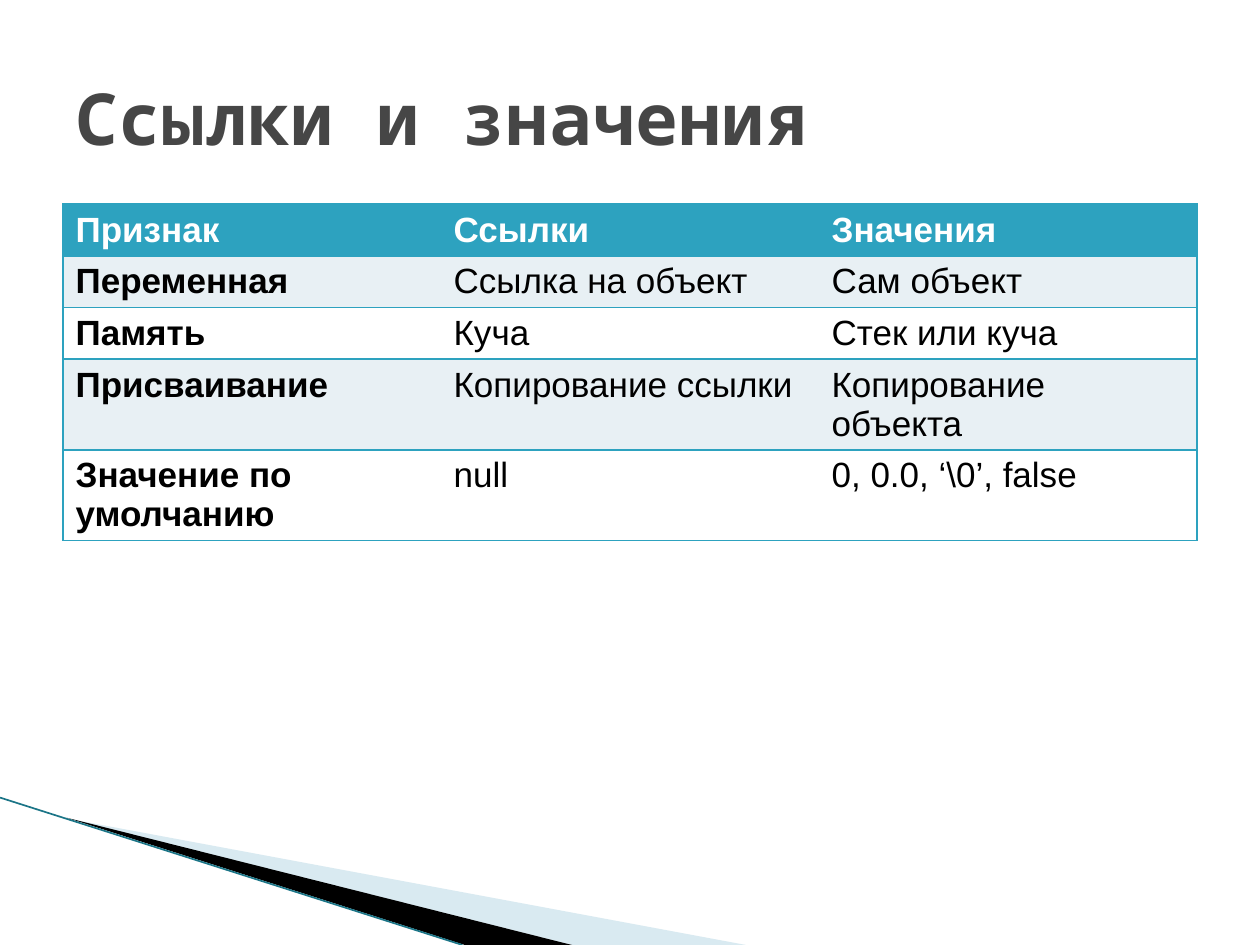
"""Build the slide that compares references and values."""
import dataclasses

import pptx
import pptx.dml.color
import pptx.enum.shapes
import pptx.enum.text
import pptx.oxml
import pptx.oxml.ns
import pptx.util

Inches = pptx.util.Inches
Pt = pptx.util.Pt


@dataclasses.dataclass(frozen=True)
class Theme:
    """Colours, fonts and type sizes."""
    teal: str = "2DA2BF"
    band: str = "E8F0F4"
    white: str = "FFFFFF"
    black: str = "000000"
    gray: str = "464646"
    pale: str = "A0CBDC"
    deep: str = "1B7587"
    head: str = "Noto Sans Mono"
    body: str = "Arial"
    big: int = 41
    text: int = 20


THEME = Theme()
ROWS = [
    ("Признак", "Ссылки", "Значения"),
    ("Переменная", "Ссылка на объект", "Сам объект"),
    ("Память", "Куча", "Cтек или куча"),
    ("Присваивание", "Копирование ссылки", "Копирование объекта"),
    ("Значение по умолчанию", "null", "0, 0.0, ‘\\0’, false"),
]
HEIGHTS = (0.41, 0.41, 0.41, 0.72, 0.72)


def rgb(code):
    """Turn a hex code into a colour."""
    return pptx.dml.color.RGBColor.from_string(code)


def style(para, name, size, color, bold):
    """Set the font of a paragraph."""
    font = para.font
    font.name, font.size, font.bold = name, Pt(size), bold
    font.color.rgb = rgb(color)


def element(tag, **attrs):
    """Make a drawing element."""
    node = pptx.oxml.parse_xml(f"<a:{tag} {pptx.oxml.ns.nsdecls('a')}/>")
    for key, value in attrs.items():
        node.set(key, str(value))
    return node


def wedge(slide, points, color, alpha=100):
    """Draw a filled polygon without an outline."""
    (x, y), *rest = [(Inches(a), Inches(b)) for a, b in points]
    build = slide.shapes.build_freeform(x, y)
    build.add_line_segments(rest, close=True)
    shape = build.convert_to_shape()
    shape.shadow.inherit = False
    shape.line.fill.background()
    shape.fill.solid()
    shape.fill.fore_color.rgb = rgb(color)
    if alpha < 100:
        node = shape.fill._xPr.find(".//" + pptx.oxml.ns.qn("a:srgbClr"))
        node.append(element("alpha", val=alpha * 1000))


def rule(slide, start, end):
    """Draw a thin straight line."""
    ends = [Inches(v) for v in (*start, *end)]
    kind = pptx.enum.shapes.MSO_CONNECTOR.STRAIGHT
    line = slide.shapes.add_connector(kind, *ends)
    line.line.color.rgb = rgb(THEME.deep)
    line.line.width = Pt(0.95)
    line._element.spPr.append(element("effectLst"))


def title(slide, text):
    """Fill and place the title."""
    box = slide.shapes.title
    box.left, box.top = Inches(0.5), Inches(0.3)
    box.width, box.height = Inches(9), Inches(1.25)
    frame = box.text_frame
    frame.text = text
    frame.vertical_anchor = pptx.enum.text.MSO_ANCHOR.MIDDLE
    para = frame.paragraphs[0]
    para.alignment = pptx.enum.text.PP_ALIGN.LEFT
    style(para, THEME.head, THEME.big, THEME.gray, True)


def border(cell, first, last):
    """Rule a cell above and below, and on the outer sides of the table."""
    props = cell._tc.get_or_add_tcPr()
    sides = {"lnL": first, "lnR": last, "lnT": True, "lnB": True}
    for spot, (tag, shown) in enumerate(sides.items()):
        line = element(tag, w=Pt(1))
        fill = element("solidFill" if shown else "noFill")
        if shown:
            fill.append(element("srgbClr", val=THEME.teal))
        line.append(fill)
        props.insert(spot, line)


def table(slide):
    """Add the comparison table."""
    count = len(ROWS[0])
    place = [Inches(v) for v in (0.5, 1.62, 9, sum(HEIGHTS))]
    grid = slide.shapes.add_table(len(ROWS), count, *place).table
    for r, (row, high) in enumerate(zip(ROWS, HEIGHTS)):
        grid.rows[r].height = Inches(high)
        shade = THEME.band if r % 2 else THEME.white
        for c, text in enumerate(row):
            cell = grid.cell(r, c)
            cell.text = text
            cell.fill.solid()
            cell.fill.fore_color.rgb = rgb(shade if r else THEME.teal)
            border(cell, c == 0, c == count - 1)
            color = THEME.black if r else THEME.white
            para = cell.text_frame.paragraphs[0]
            style(para, THEME.body, THEME.text, color, r == 0 or c == 0)


def main():
    """Build and save the slide."""
    deck = pptx.Presentation()
    deck.slide_width, deck.slide_height = Inches(10), Inches(7.5)
    slide = deck.slides.add_slide(deck.slide_layouts[5])
    wedge(slide, [(0.55, 6.5), (5.92, 7.5), (4.54, 7.5)], THEME.pale, 40)
    wedge(slide, [(0.53, 6.49), (4.54, 7.5), (3.69, 7.5)], THEME.black)
    rule(slide, (0, 6.33), (3.67, 7.5))
    table(slide)
    title(slide, "Ссылки и значения")
    deck.save("out.pptx")


if __name__ == "__main__":
    main()
